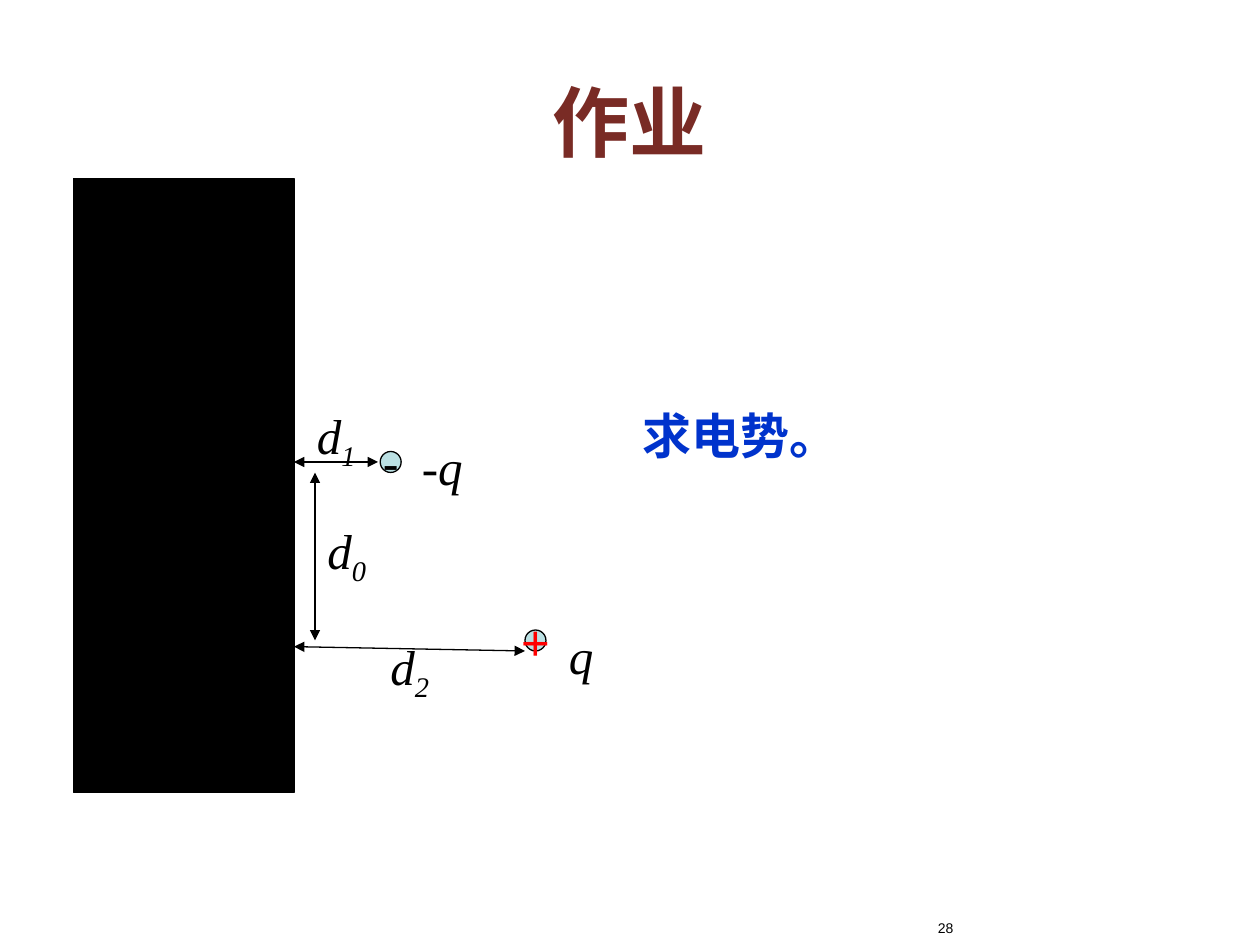
from lxml import etree
from pptx import Presentation
from pptx.dml.color import RGBColor
from pptx.enum import shapes, text
from pptx.oxml import ns
from pptx.util import Pt

BLACK = RGBColor(0x00, 0x00, 0x00)
BROWN = RGBColor(0x79, 0x2B, 0x25)
BLUE = RGBColor(0x00, 0x33, 0xCC)
RED = RGBColor(0xFF, 0x00, 0x00)
PALE_TEAL = RGBColor(0xBB, 0xE0, 0xE3)
SERIF = "Times New Roman"
SANS = "Arial"
CHARGE_SIZE = 12
WALL_RIGHT = 168


def style_run(r, size, font, color, bold=False, italic=False):
    r.font.size = Pt(size)
    r.font.name = font
    r.font.color.rgb = color
    r.font.bold = bold
    r.font.italic = italic


def place(sp, left, top, width, height):
    sp.left, sp.top, sp.width, sp.height = Pt(left), Pt(top), Pt(width), Pt(height)


def add_title(s, title):
    sp = s.shapes.title
    place(sp, 36, 30, 648, 78)
    tf = sp.text_frame
    tf.text = title
    tf.vertical_anchor = text.MSO_ANCHOR.MIDDLE
    p = tf.paragraphs[0]
    p.alignment = text.PP_ALIGN.CENTER
    style_run(p.runs[0], 44, SERIF, BROWN, bold=True)


def add_shape(s, kind, left, top, width, height, fill):
    sp = s.shapes.add_shape(kind, Pt(left), Pt(top), Pt(width), Pt(height))
    sp.shadow.inherit = False
    sp.fill.solid()
    sp.fill.fore_color.rgb = fill
    sp.line.color.rgb = BLACK
    sp.line.width = Pt(0.75)
    return sp


def add_charge(s, left, top, sign, color):
    sp = add_shape(s, shapes.MSO_SHAPE.OVAL, left, top, CHARGE_SIZE, CHARGE_SIZE, PALE_TEAL)
    tf = sp.text_frame
    tf.text = sign
    tf.word_wrap = False
    tf.vertical_anchor = text.MSO_ANCHOR.MIDDLE
    p = tf.paragraphs[0]
    p.alignment = text.PP_ALIGN.CENTER
    style_run(p.runs[0], 28, SANS, color)


def add_dimension(s, x1, y1, x2, y2):
    """Draw a line with an arrowhead at both ends."""
    line = s.shapes.add_connector(
        shapes.MSO_CONNECTOR.STRAIGHT, Pt(x1), Pt(y1), Pt(x2), Pt(y2))
    line.line.color.rgb = BLACK
    line.line.width = Pt(0.75)
    ln = line.line._get_or_add_ln()
    for end in ("a:headEnd", "a:tailEnd"):
        etree.SubElement(ln, ns.qn(end), type="triangle")
    etree.SubElement(line._element.spPr, ns.qn("a:effectLst"))


def add_text(s, left, top, width, height, words):
    """Add an unwrapped text box and return its paragraph."""
    sp = s.shapes.add_textbox(Pt(left), Pt(top), Pt(width), Pt(height))
    tf = sp.text_frame
    tf.word_wrap = False
    tf.text = words
    return tf.paragraphs[0]


def add_symbol(s, left, top, width, symbol, subscript=""):
    p = add_text(s, left, top, width, 41, symbol)
    if subscript:
        r = p.add_run()
        r.text = subscript
        r.font._element.set("baseline", "-25000")
    for r in p.runs:
        style_run(r, 28, SERIF, BLACK, italic=True)


def add_page_number(s, number):
    sp = s.shapes.add_textbox(Pt(486), Pt(522), Pt(66), Pt(18))
    tf = sp.text_frame
    tf.word_wrap = True
    tf.text = number
    p = tf.paragraphs[0]
    p.alignment = text.PP_ALIGN.RIGHT
    style_run(p.runs[0], 8, SANS, BLACK)


def main():
    prs = Presentation()
    prs.slide_width, prs.slide_height = Pt(720), Pt(540)
    s = prs.slides.add_slide(prs.slide_layouts[5])
    add_title(s, "作业")
    add_page_number(s, "28")

    add_shape(s, shapes.MSO_SHAPE.RECTANGLE, 42, 102, WALL_RIGHT - 42, 351, BLACK)
    add_charge(s, 217.25, 258, "-", BLACK)
    add_charge(s, 300, 360, "+", RED)

    add_dimension(s, WALL_RIGHT, 264, 216, 264)
    add_dimension(s, WALL_RIGHT, 369.5, 300, 372)
    add_dimension(s, 180, 270, 180, 366)

    for left, top, subscript in ((174, 228, "1"), (180, 294, "0"), (216, 360, "2")):
        add_symbol(s, left, top, 38, "d", subscript)
    add_symbol(s, 318, 354, 29, "q")
    add_symbol(s, 234, 246, 38, "-q")

    p = add_text(s, 360, 228, 128, 41, "求电势。")
    style_run(p.runs[0], 28, SANS, BLUE, bold=True)
    prs.save("out.pptx")


if __name__ == "__main__":
    main()
